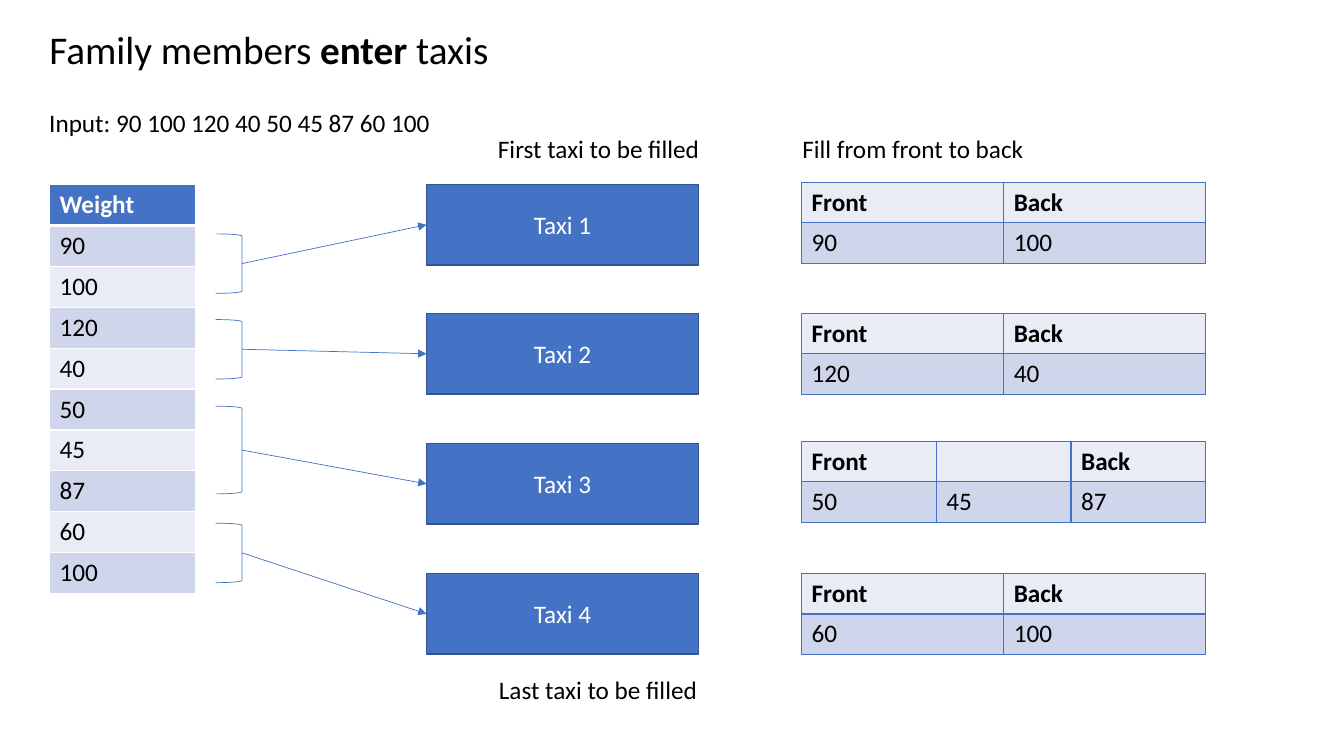
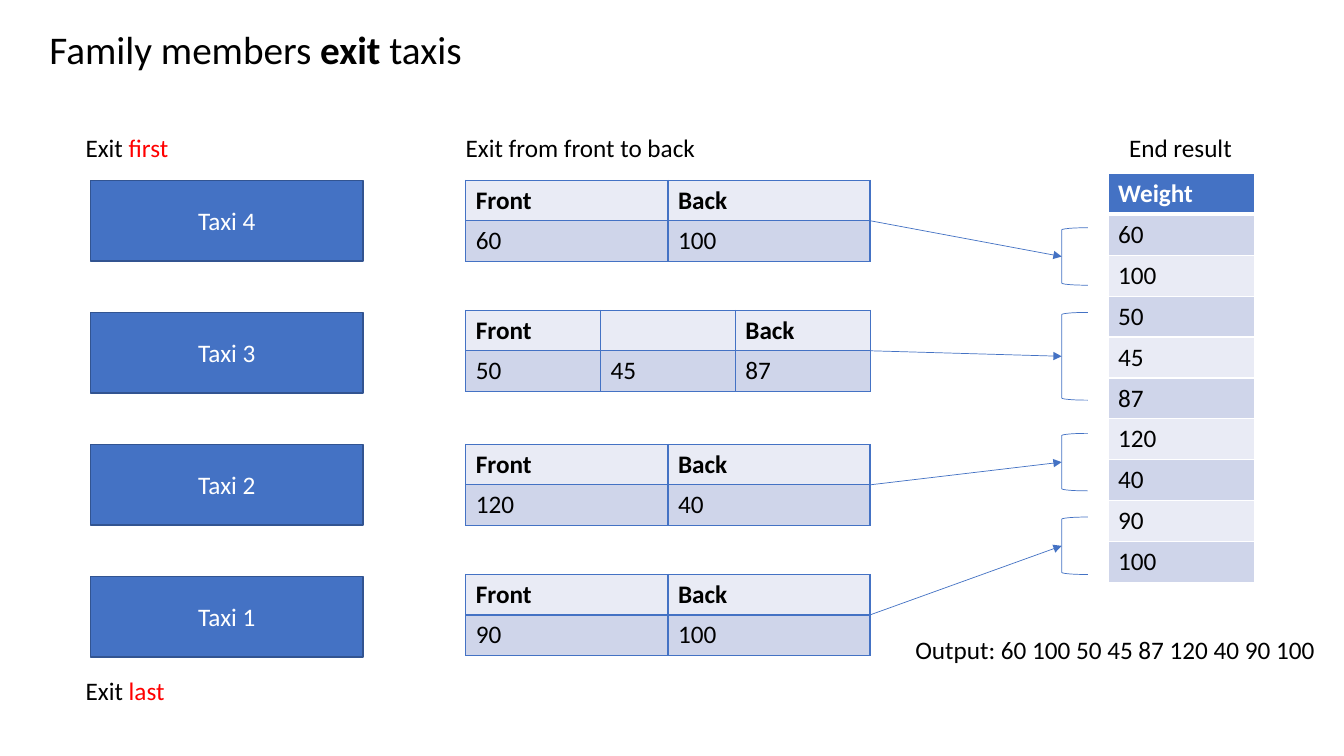
from pptx import Presentation
from pptx.util import Inches, Pt
from pptx.dml.color import RGBColor
from pptx.enum import shapes, text
from pptx.oxml import parse_xml
from pptx.oxml.ns import nsdecls

C = {"blue": "4472C4", "edge": "325491", "dark": "CFD5EA", "light": "E9EBF5",
     "white": "FFFFFF", "black": "000000", "red": "FF0000"}
ROW, TAXI_W, TAXI_H, SEATS_W, WEIGHT_W = 0.4, 2.7, 0.8, 4.01, 1.45
LOADS = {1: [90, 100], 2: [120, 40], 3: [50, 45, 87], 4: [60, 100]}


def write(tf, runs, size=18, color="black", bold=False):
    """Fill the first paragraph with (text, format overrides) runs."""
    p = tf.paragraphs[0]
    for words, changes in runs:
        r = p.add_run()
        r.text = words
        look = {"name": "Calibri", "size": Pt(size), "bold": bold, "color": color, **changes}
        r.font.color.rgb = RGBColor.from_string(C[look.pop("color")])
        for key, value in look.items():
            setattr(r.font, key, value)
    return p


def add_grid(s, x, y, w, row_h, rows, fills, border, head_color, head_line=1):
    """Add a table with a bold first row; fills repeat below the header."""
    n = len(rows[0])
    tbl = s.shapes.add_table(len(rows), n, Inches(x), Inches(y),
                             Inches(w), Inches(row_h * len(rows))).table
    for i, row in enumerate(rows):
        for j, value in enumerate(row):
            cell = tbl.cell(i, j)
            pr = cell._tc.get_or_add_tcPr()
            widths = {"L": 1, "R": 1, "T": head_line if i == 1 else 1,
                      "B": head_line if i == 0 else 1}
            for side, width in widths.items():
                pr.append(parse_xml(
                    f'<a:ln{side} {nsdecls("a")} w="{Pt(width)}"><a:solidFill>'
                    f'<a:srgbClr val="{C[border]}"/></a:solidFill></a:ln{side}>'))
            cell.fill.solid()
            shade = fills[0] if i == 0 else fills[1 + (i - 1) % (len(fills) - 1)]
            cell.fill.fore_color.rgb = RGBColor.from_string(C[shade])
            if value != "":
                write(cell.text_frame, [(str(value), {})],
                      color=head_color if i == 0 else "black", bold=i == 0)


SLIDES = [
    {"verb": "enter", "title_w": 4.59, "order": [1, 2, 3, 4],
     "taxi_x": 4.23, "taxi_y": [1.83, 3.11, 4.4, 5.69],
     "seats_x": 7.95, "seats_y": [1.81, 3.11, 4.38, 5.69],
     "weights": (0.49, 1.83), "bracket": shapes.MSO_SHAPE.RIGHT_BRACKET,
     "bracket_x": 2.14, "bracket_y": [2.32, 3.17, 4.03, 5.19], "pair_h": 0.59,
     "labels": [(0.39, 1.02, 4.03, [("Input: 90 100 120 40 50 45 87 60 100", {})]),
                (4.84, 1.27, 2.22, [("First taxi to be filled", {})]),
                (4.85, 6.64, 2.19, [("Last taxi to be filled", {})]),
                (7.86, 1.27, 2.42, [("Fill from front to back", {})])]},
    {"verb": "exit", "title_w": 4.31, "order": [4, 3, 2, 1],
     "taxi_x": 0.9, "taxi_y": [1.79, 3.1, 4.41, 5.72],
     "seats_x": 4.62, "seats_y": [1.79, 3.08, 4.41, 5.7],
     "weights": (10.99, 1.72), "bracket": shapes.MSO_SHAPE.LEFT_BRACKET,
     "bracket_x": 10.53, "bracket_y": [2.26, 3.1, 4.3, 5.13], "pair_h": 0.57,
     "labels": [(0.75, 1.26, 1.03, [("Exit ", {}), ("first", {"color": "red"})]),
                (0.75, 6.65, 0.99, [("Exit ", {}), ("last", {"color": "red"})]),
                (4.52, 1.26, 2.5, [("Exit from front to back", {})]),
                (11.1, 1.26, 1.23, [("End result", {})]),
                (8.98, 6.24, 4.21, [("Output: 60 100 50 45 87 120 40 90 100", {})])]},
]

prs = Presentation()
prs.slide_width, prs.slide_height = Inches(13.33), Inches(7.5)

for d in SLIDES:
    s = prs.slides.add_slide(prs.slide_layouts[5])
    entering = d["verb"] == "enter"

    # Title
    title = s.shapes.title
    box = {"left": 0.39, "top": 0.2, "width": d["title_w"], "height": 0.57}
    for key, value in box.items():
        setattr(title, key, Inches(value))
    tf = title.text_frame
    frame = {"word_wrap": False, "auto_size": text.MSO_AUTO_SIZE.NONE,
             "vertical_anchor": text.MSO_ANCHOR.MIDDLE}
    for key, value in frame.items():
        setattr(tf, key, value)
    p = write(tf, [("Family members ", {}), (d["verb"], {"bold": True}), (" taxis", {})], 28)
    p.alignment = text.PP_ALIGN.LEFT

    # Labels
    for x, y, w, runs in d["labels"]:
        tf = s.shapes.add_textbox(Inches(x), Inches(y), Inches(w), Inches(0.4)).text_frame
        tf.word_wrap = False
        write(tf, runs)

    # Weight list
    weights = [[kg] for taxi in d["order"] for kg in LOADS[taxi]]
    add_grid(s, *d["weights"], WEIGHT_W, 0.406, [["Weight"]] + weights,
             ["blue", "dark", "light"], "white", "white", 3)

    rows = zip(d["order"], d["taxi_y"], d["seats_y"], d["bracket_y"])
    for taxi, taxi_y, seats_y, bracket_y in rows:
        load = LOADS[taxi]

        # Taxi
        sp = s.shapes.add_shape(shapes.MSO_SHAPE.RECTANGLE, Inches(d["taxi_x"]),
                                Inches(taxi_y), Inches(TAXI_W), Inches(TAXI_H))
        sp.shadow.inherit = False
        sp.fill.solid()
        sp.fill.fore_color.rgb = RGBColor.from_string(C["blue"])
        sp.line.color.rgb = RGBColor.from_string(C["edge"])
        sp.line.width = Pt(1)
        sp.text_frame.vertical_anchor = text.MSO_ANCHOR.MIDDLE
        p = write(sp.text_frame, [(f"Taxi {taxi}", {})], color="white")
        p.alignment = text.PP_ALIGN.CENTER

        # Seats from front to back
        heads = ["Front"] + [""] * (len(load) - 2) + ["Back"]
        add_grid(s, d["seats_x"], seats_y, SEATS_W, ROW, [heads, load],
                 ["light", "dark"], "blue", "black")

        # Bracket around the taxi's weights
        bracket_h = d["pair_h"] if len(load) == 2 else 0.87
        sp = s.shapes.add_shape(d["bracket"], Inches(d["bracket_x"]), Inches(bracket_y),
                                Inches(0.26), Inches(bracket_h))
        sp.shadow.inherit = False
        sp.fill.background()

        # Arrow between bracket and taxi or seats
        middle = bracket_y + bracket_h / 2
        if entering:
            ends = (d["bracket_x"] + 0.26, middle, d["taxi_x"], taxi_y + TAXI_H / 2)
        else:
            ends = (d["seats_x"] + SEATS_W, seats_y + ROW, d["bracket_x"], middle)
        arrow = s.shapes.add_connector(shapes.MSO_CONNECTOR.STRAIGHT, *map(Inches, ends))
        for line in (sp.line, arrow.line):
            line.color.rgb = RGBColor.from_string(C["blue"])
            line.width = Pt(0.5)
        arrow.line._get_or_add_ln().append(
            parse_xml(f'<a:tailEnd {nsdecls("a")} type="triangle"/>'))
        arrow._element.spPr.append(parse_xml(f'<a:effectLst {nsdecls("a")}/>'))

prs.save("out.pptx")
